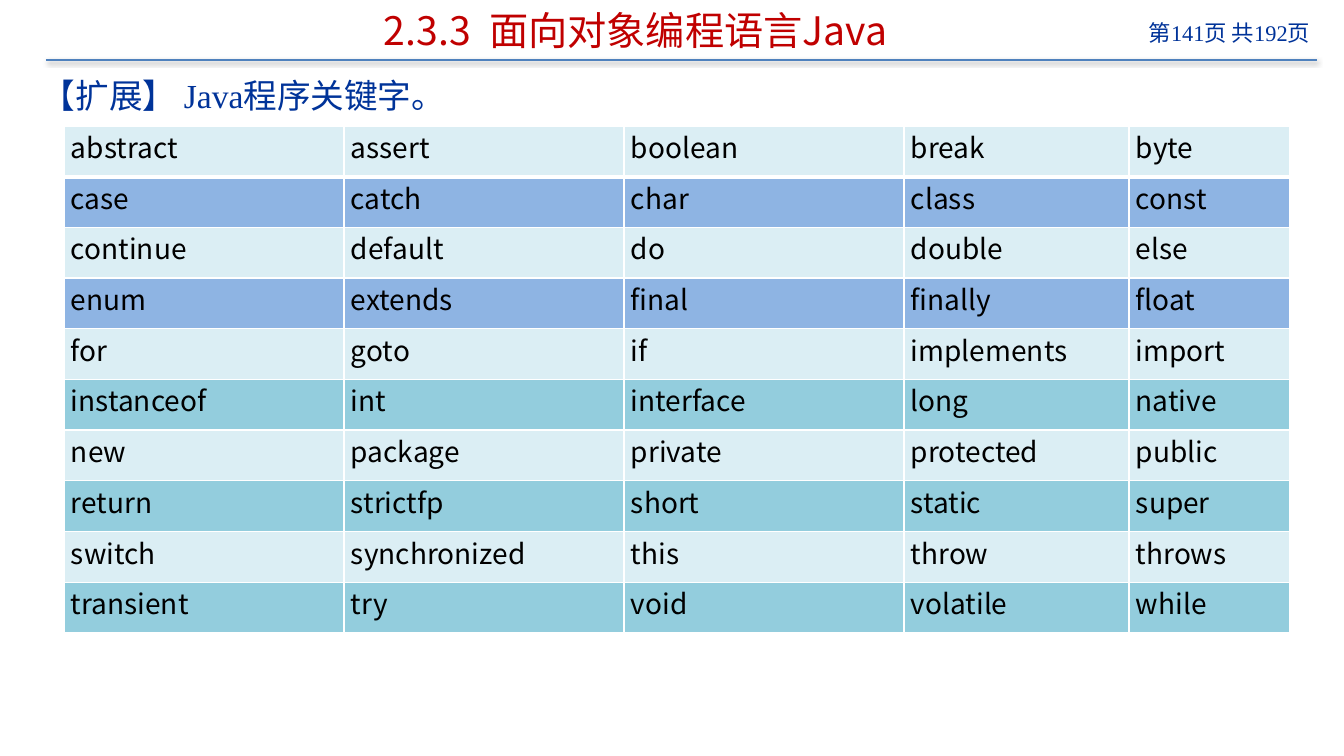
from lxml.etree import SubElement
from pptx import Presentation
from pptx.dml.color import RGBColor
from pptx.enum.shapes import MSO_CONNECTOR
from pptx.enum.text import MSO_ANCHOR, PP_ALIGN
from pptx.oxml.ns import qn
from pptx.util import Pt

EMU_PER_PX = 914400 / 100.8
COLORS = {
    "white": "FFFFFF",
    "black": "000000",
    "title": "C00000",
    "navy": "003399",
    "rule": "4F81BD",
    "pale": "DBEEF4",
    "blue": "8EB4E3",
    "teal": "93CDDD",
}
SANS = "Noto Sans CJK SC"
SERIF = "Times New Roman"
KEYWORDS = [
    "abstract assert boolean break byte",
    "case catch char class const",
    "continue default do double else",
    "enum extends final finally float",
    "for goto if implements import",
    "instanceof int interface long native",
    "new package private protected public",
    "return strictfp short static super",
    "switch synchronized this throw throws",
    "transient try void volatile while",
]
COLUMN_WIDTHS = [280, 280, 280, 225, 161]
BLUE_ROWS = 4


def px(value):
    return round(value * EMU_PER_PX)


def rgb(name):
    return RGBColor.from_string(COLORS[name])


def add_run(paragraph, text, size, font_name, color, spacing=0):
    run = paragraph.add_run()
    run.text = text
    run.font.size = Pt(size)
    run.font.name = font_name
    run.font.color.rgb = rgb(color)
    properties = run.font._element
    SubElement(properties, qn("a:ea"), typeface=SANS)
    if spacing:
        properties.set("spc", str(spacing * 100))


def add_text(slide, box, runs, size, font_name, color, alignment, anchor=MSO_ANCHOR.TOP):
    shape = slide.shapes.add_textbox(*map(px, box))
    frame = shape.text_frame
    frame.word_wrap = True
    frame.vertical_anchor = anchor
    paragraph = frame.paragraphs[0]
    paragraph.alignment = alignment
    for text, spacing in runs:
        add_run(paragraph, text, size, font_name, color, spacing)


def add_header_rule(slide, left, right, top):
    line = slide.shapes.add_connector(
        MSO_CONNECTOR.STRAIGHT, px(left), px(top), px(right), px(top)
    )
    line.line.color.rgb = rgb("rule")
    line.line.width = Pt(2)
    effects = SubElement(line._element.spPr, qn("a:effectLst"))
    shadow = SubElement(
        effects, qn("a:outerShdw"),
        blurRad=str(Pt(3.1)), dist=str(Pt(1.6)), dir="5400000", rotWithShape="0",
    )
    color = SubElement(shadow, qn("a:srgbClr"), val=COLORS["black"])
    SubElement(color, qn("a:alpha"), val="38000")


def set_borders(cell, widths):
    properties = cell._tc.get_or_add_tcPr()
    for side, width in widths.items():
        border = SubElement(properties, qn(f"a:ln{side}"), w=str(Pt(width)))
        fill = SubElement(border, qn("a:solidFill"))
        SubElement(fill, qn("a:srgbClr"), val=COLORS["white"])


def row_color(row):
    if row % 2 == 0:
        return "pale"
    return "blue" if row < BLUE_ROWS else "teal"


def fill_cell(cell, keyword, row):
    cell.margin_left = cell.margin_right = px(7)
    cell.margin_top = cell.margin_bottom = 0
    set_borders(cell, {"L": 1, "R": 1, "T": 3 if row == 1 else 1, "B": 3 if row == 0 else 1})
    cell.fill.solid()
    cell.fill.fore_color.rgb = rgb(row_color(row))
    paragraph = cell.text_frame.paragraphs[0]
    paragraph.alignment = PP_ALIGN.JUSTIFY
    add_run(paragraph, keyword, 20, SANS, "black")


def add_keyword_table(slide, left, top, height):
    table = slide.shapes.add_table(
        len(KEYWORDS), len(COLUMN_WIDTHS),
        px(left), px(top), px(sum(COLUMN_WIDTHS)), px(height),
    ).table
    table.first_row = False
    table.horz_banding = False
    for column, width in zip(table.columns, COLUMN_WIDTHS):
        column.width = px(width)
    for row, line in enumerate(KEYWORDS):
        table.rows[row].height = px(height / len(KEYWORDS))
        for column, keyword in enumerate(line.split()):
            fill_cell(table.cell(row, column), keyword, row)


def main():
    presentation = Presentation()
    presentation.slide_width = px(1344)
    presentation.slide_height = px(756)
    slide = presentation.slides.add_slide(presentation.slide_layouts[6])
    add_header_rule(slide, 46, 1317, 60)
    add_text(slide, (1092, 14, 228, 45), [("第141页 共192页", 0)],
             16, SERIF, "navy", PP_ALIGN.RIGHT)
    add_text(slide, (78, 2, 1115, 56),
             [("2.3.3", 0), (" ", 7), ("面向对象编程语言Java", 0)],
             28, SANS, "title", PP_ALIGN.CENTER, MSO_ANCHOR.MIDDLE)
    add_text(slide, (32, 70, 1284, 50), [("【扩展】 Java程序关键字。", 0)],
             24, SERIF, "navy", PP_ALIGN.LEFT)
    add_keyword_table(slide, 64, 126, 507)
    presentation.save("out.pptx")


if __name__ == "__main__":
    main()
